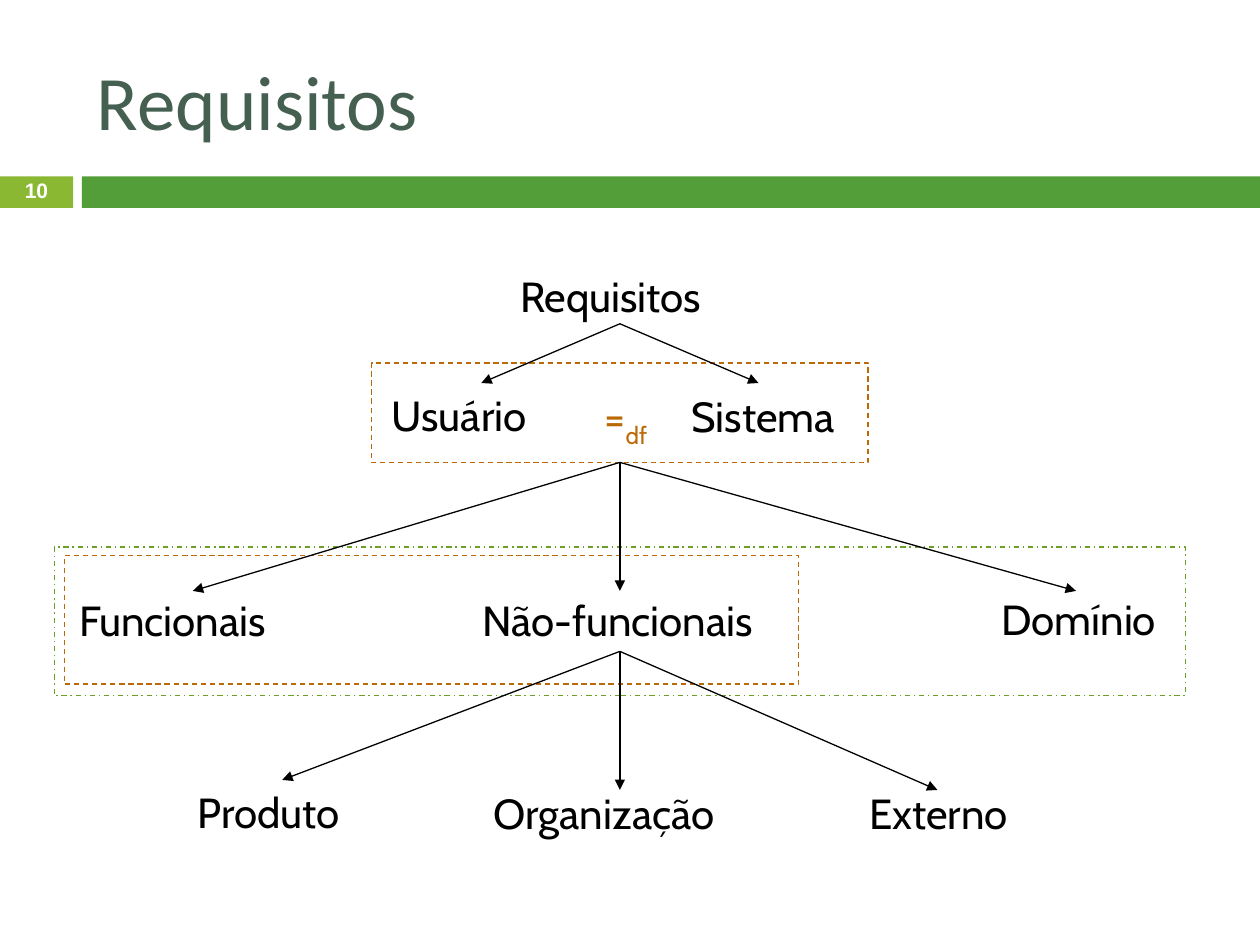
from dataclasses import dataclass

from lxml.etree import SubElement
from pptx import Presentation
from pptx.dml.color import RGBColor
from pptx.enum.dml import MSO_LINE
from pptx.enum.shapes import MSO_CONNECTOR, MSO_SHAPE
from pptx.enum.text import MSO_ANCHOR, PP_ALIGN
from pptx.oxml.ns import qn
from pptx.util import Inches, Pt


@dataclass(frozen=True)
class Theme:
    title: str = "455F51"
    bar: str = "549E39"
    number_bar: str = "8AB833"
    number: str = "FFFFFF"
    ink: str = "000000"
    accent: str = "BA6906"
    group: str = "6B9F25"
    title_size: int = 44
    label_size: int = 24
    number_size: int = 12
    line_width: float = 0.75


@dataclass(frozen=True)
class Box:
    left: float
    top: float
    width: float
    height: float

    def inner(self, left, top, width, height):
        """Box whose offsets are measured from this one."""
        return Box(self.left + left, self.top + top, width, height)

    def lengths(self):
        return [Inches(value) for value in (self.left, self.top, self.width, self.height)]


THEME = Theme()


def color(value):
    return RGBColor.from_string(value)


def add_text(slide, box, text, size=THEME.label_size, font="Cabin", fill=THEME.ink,
             bold=False, wrap=False, align=PP_ALIGN.LEFT, anchor=MSO_ANCHOR.TOP,
             spacing=1.0, subscript=""):
    frame = slide.shapes.add_textbox(*box.lengths()).text_frame
    frame.word_wrap = wrap
    frame.vertical_anchor = anchor
    paragraph = frame.paragraphs[0]
    paragraph.alignment = align
    paragraph.line_spacing = spacing
    for part in filter(None, (text, subscript)):
        run = paragraph.add_run()
        run.text = part
        run.font.size = Pt(size)
        run.font.name = font
        run.font.bold = bold
        run.font.color.rgb = color(fill)
    if subscript:
        run.font._element.set("baseline", "-25000")


def add_rectangle(slide, box, fill=None, line=None, dash=None):
    shape = slide.shapes.add_shape(MSO_SHAPE.RECTANGLE, *box.lengths())
    shape.shadow.inherit = False
    if fill:
        shape.fill.solid()
        shape.fill.fore_color.rgb = color(fill)
    else:
        shape.fill.background()
    if line:
        shape.line.color.rgb = color(line)
        shape.line.width = Pt(THEME.line_width)
        shape.line.dash_style = dash
    else:
        shape.line.fill.background()
    return shape


def add_arrow(slide, start, end, source=None):
    connector = slide.shapes.add_connector(
        MSO_CONNECTOR.STRAIGHT, *(Inches(value) for value in (*start, *end)))
    connector.line.color.rgb = color(THEME.ink)
    connector.line.width = Pt(THEME.line_width)
    properties = connector._element.spPr
    SubElement(properties.find(qn("a:ln")), qn("a:tailEnd"), type="triangle")
    SubElement(properties, qn("a:effectLst"))
    if source is not None:
        connector.begin_connect(source, 2)


def add_header(slide, box, title, number):
    # Title above, page number and colour bar along the bottom edge
    add_text(slide, box.inner(0.67, 0.25, 8.92, 1.08), title, size=THEME.title_size,
             font="Calibri", fill=THEME.title, wrap=True, anchor=MSO_ANCHOR.MIDDLE)
    number_box = box.inner(0, 1.4, 0.58, 0.25)
    add_rectangle(slide, number_box, fill=THEME.number_bar)
    add_rectangle(slide, box.inner(0.65, 1.4, box.width - 0.65, 0.25), fill=THEME.bar)
    add_text(slide, number_box, number, size=THEME.number_size, font="Arial",
             fill=THEME.number, bold=True, wrap=True, align=PP_ALIGN.CENTER,
             anchor=MSO_ANCHOR.MIDDLE, spacing=0.8)


def add_level(slide, box, labels, fan_top=0, tips=(), source=None):
    """Labels as (text, left, top, width), arrow tips as (distance from centre, top)."""
    for text, left, top, width in labels:
        add_text(slide, box.inner(left, top, width, 0.5), text)
    center = box.left + box.width / 2
    for distance, top in tips:
        add_arrow(slide, (center, box.top + fan_top),
                  (center + distance, box.top + top), source)


def add_requirements_tree(slide, box):
    # Dashed frames around related kinds
    source_frame = add_rectangle(slide, box.inner(2.52, 0.78, 3.94, 0.79),
                                 line=THEME.accent, dash=MSO_LINE.DASH)
    add_rectangle(slide, box.inner(0.08, 2.31, 5.83, 1.02),
                  line=THEME.accent, dash=MSO_LINE.DASH)
    add_rectangle(slide, box.inner(0, 2.24, box.width, 1.18),
                  line=THEME.group, dash=MSO_LINE.DASH_DOT)

    # Root
    add_level(slide, box, [("Requisitos", 3.6, 0, 1.82)])

    # User and system, equal by definition
    add_level(slide, box, [("Usuário", 2.58, 0.94, 1.42), ("Sistema", 4.96, 0.95, 1.43)],
              fan_top=0.47, tips=[(-1.1, 0.94), (1.1, 0.94)])
    add_text(slide, box.inner(4.27, 0.96, 0.57, 0.56), "=", fill=THEME.accent,
             subscript="df")

    # Kinds of requirement
    add_level(slide, box,
              [("Funcionais", 0.1, 2.57, 1.87), ("Não-funcionais", 3.3, 2.57, 2.56),
               ("Domínio", 7.42, 2.56, 1.53)],
              fan_top=1.57, tips=[(-3.39, 2.59), (0, 2.59), (3.62, 2.59)],
              source=source_frame)

    # Kinds of non-functional requirement
    add_level(slide, box,
              [("Produto", 1.04, 4.09, 1.47), ("Organização", 3.39, 4.1, 2.17),
               ("Externo", 6.37, 4.1, 1.41)],
              fan_top=3.07, tips=[(-2.68, 4.09), (0, 4.17), (2.52, 4.17)])


def main():
    presentation = Presentation()
    presentation.slide_width = Inches(10)
    presentation.slide_height = Inches(7.5)
    slide = presentation.slides.add_slide(presentation.slide_layouts[6])
    add_header(slide, Box(0, 0, 10, 1.65), "Requisitos", "10")
    add_requirements_tree(slide, Box(0.43, 2.1, 8.98, 4.6))
    presentation.save("out.pptx")


if __name__ == "__main__":
    main()
